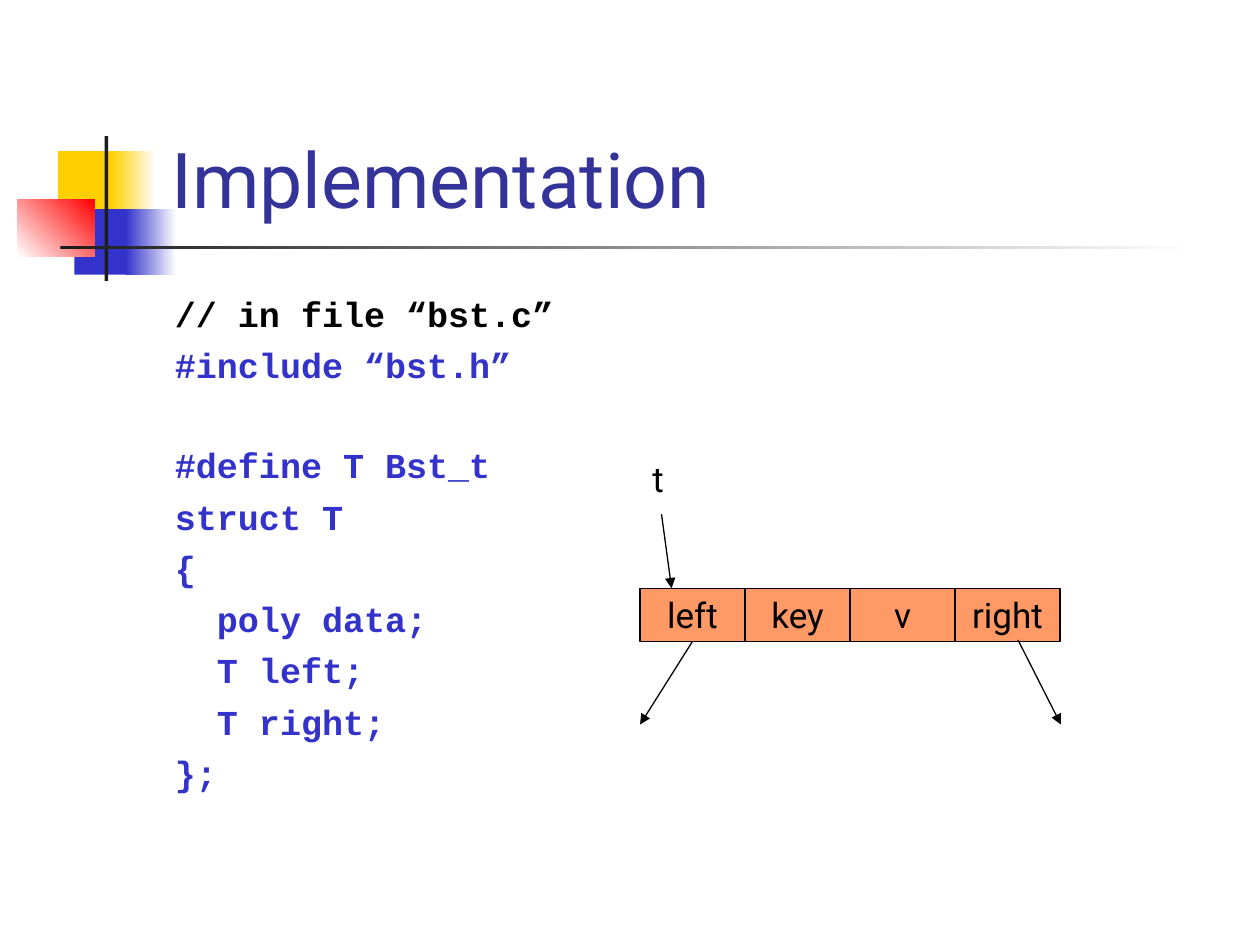
from pptx import Presentation
from pptx.dml.color import RGBColor
from pptx.enum.shapes import MSO_CONNECTOR, MSO_SHAPE
from pptx.enum.text import MSO_ANCHOR, PP_ALIGN
from pptx.oxml.ns import qn
from pptx.util import Inches, Pt
from lxml.etree import SubElement


def rgb(value):
    return RGBColor.from_string(value)


class Deck:
    """Holds the style and the current slide, and draws each kind of element."""

    FONT, CODE = "Roboto", "Courier New"
    BLACK, BLUE, TITLE = "000000", "3333CC", "333399"
    YELLOW, RED, DARK, CELL, WHITE = "FFCF01", "FF0000", "1C1C1C", "FF9966", "FFFFFF"

    def __init__(self, prs):
        self.s = prs.slides.add_slide(prs.slide_layouts[6])

    def run(self, p, text, size, color, font=FONT, bold=False):
        r = p.add_run()
        r.text = text
        r.font.size, r.font.name, r.font.bold = Pt(size), font, bold
        r.font.color.rgb = rgb(color)

    def rect(self, x, y, w, h, fill, fade=None, angle=0):
        sp = self.s.shapes.add_shape(MSO_SHAPE.RECTANGLE, Inches(x), Inches(y), Inches(w), Inches(h))
        sp.shadow.inherit = False
        sp.line.fill.background()
        if fade:
            sp.fill.gradient()
            sp.fill.gradient_angle = angle
            for stop, color in zip(sp.fill.gradient_stops, (fill, fade)):
                stop.color.rgb = rgb(color)
        else:
            sp.fill.solid()
            sp.fill.fore_color.rgb = rgb(fill)
        return sp

    def cell(self, x, y, w, h, text):
        sp = self.rect(x, y, w, h, self.CELL)
        sp.line.color.rgb = rgb(self.BLACK)
        sp.line.width = Pt(0.75)
        tf = sp.text_frame
        tf.word_wrap = False
        tf.vertical_anchor = MSO_ANCHOR.MIDDLE
        p = tf.paragraphs[0]
        p.alignment = PP_ALIGN.CENTER
        self.run(p, text, 20, self.BLACK)
        return sp

    def box(self, x, y, w, h, anchor=MSO_ANCHOR.TOP):
        tf = self.s.shapes.add_textbox(Inches(x), Inches(y), Inches(w), Inches(h)).text_frame
        tf.word_wrap = True
        tf.vertical_anchor = anchor
        return tf

    def label(self, x, y, w, h, text, size, color, anchor=MSO_ANCHOR.TOP):
        self.run(self.box(x, y, w, h, anchor).paragraphs[0], text, size, color)

    def code(self, x, y, w, h, lines):
        tf = self.box(x, y, w, h)
        for i, (text, color, before) in enumerate(lines):
            p = tf.add_paragraph() if i else tf.paragraphs[0]
            p.space_before = Pt(before)
            self.run(p, text, 20, color, self.CODE, True)

    def arrow(self, x1, y1, x2, y2, start=None):
        c = self.s.shapes.add_connector(
            MSO_CONNECTOR.STRAIGHT, Inches(x1), Inches(y1), Inches(x2), Inches(y2))
        if start:
            c.begin_connect(start, 2)
        c.line.color.rgb = rgb(self.BLACK)
        c.line.width = Pt(0.75)
        SubElement(c.line._get_or_add_ln(), qn("a:tailEnd"), type="triangle")
        SubElement(c._element.spPr, qn("a:effectLst"))


def main():
    prs = Presentation()
    prs.slide_width, prs.slide_height = Inches(10), Inches(7.5)
    d = Deck(prs)

    d.rect(0.46, 1.2, 0.48, 0.52, d.YELLOW)
    d.rect(0.88, 1.2, 0.36, 0.52, d.YELLOW, d.WHITE)
    d.rect(0.59, 1.66, 0.46, 0.52, d.BLUE)
    d.rect(1, 1.66, 0.4, 0.52, d.BLUE, d.WHITE)
    d.rect(0.14, 1.58, 0.61, 0.46, d.WHITE, d.RED, 45)
    d.rect(0.83, 1.08, 0.03, 1.15, d.DARK)
    d.rect(0.48, 1.95, 9, 0.03, d.DARK, d.WHITE)

    d.label(1.26, 0.23, 8.52, 1.6, "Implementation", 44, d.TITLE, MSO_ANCHOR.BOTTOM)

    gap, section_gap = 5.3, 33.3
    lines = [("// in file “bst.c”", d.BLACK, 0),
             ("#include “bst.h”", d.BLUE, gap),
             ("#define T Bst_t", d.BLUE, section_gap)]
    struct = ["struct T", "{", "  poly data;", "  T left;", "  T right;", "};"]
    lines += [(text, d.BLUE, gap) for text in struct]
    d.code(1.29, 2.27, 8.5, 4.44, lines)

    d.label(5.08, 3.58, 0.75, 0.43, "t", 20, d.BLACK)
    width = 5 / 6
    fields = [d.cell(5.08 + i * width, 4.67, width, 0.42, text)
              for i, text in enumerate(["left", "key", "v", "right"])]
    d.arrow(5.25, 4.08, 5.33, 4.67)
    d.arrow(5.5, 5.08, 5.08, 5.75, fields[0])
    d.arrow(8.08, 5.08, 8.42, 5.75)

    prs.save("out.pptx")


if __name__ == "__main__":
    main()
